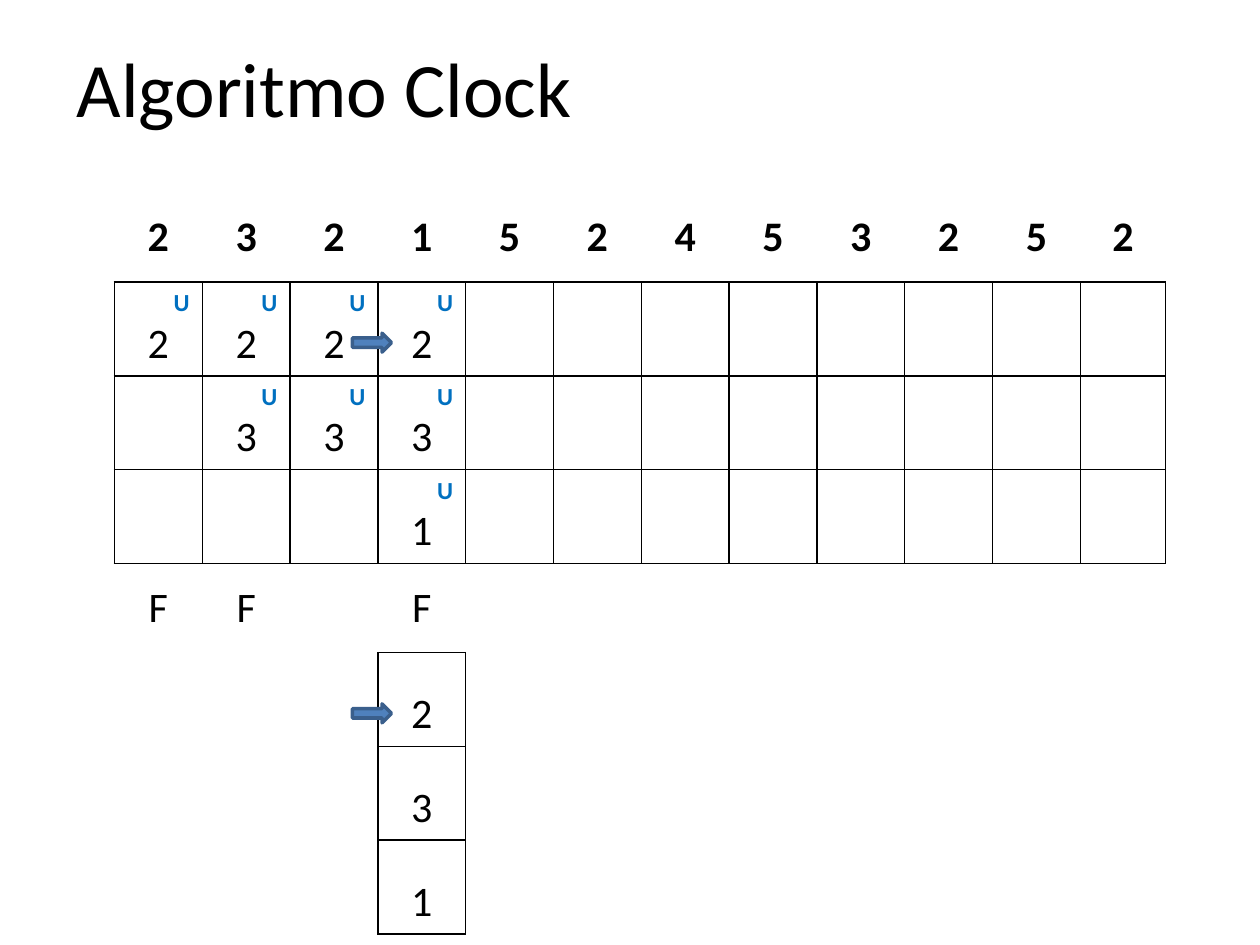
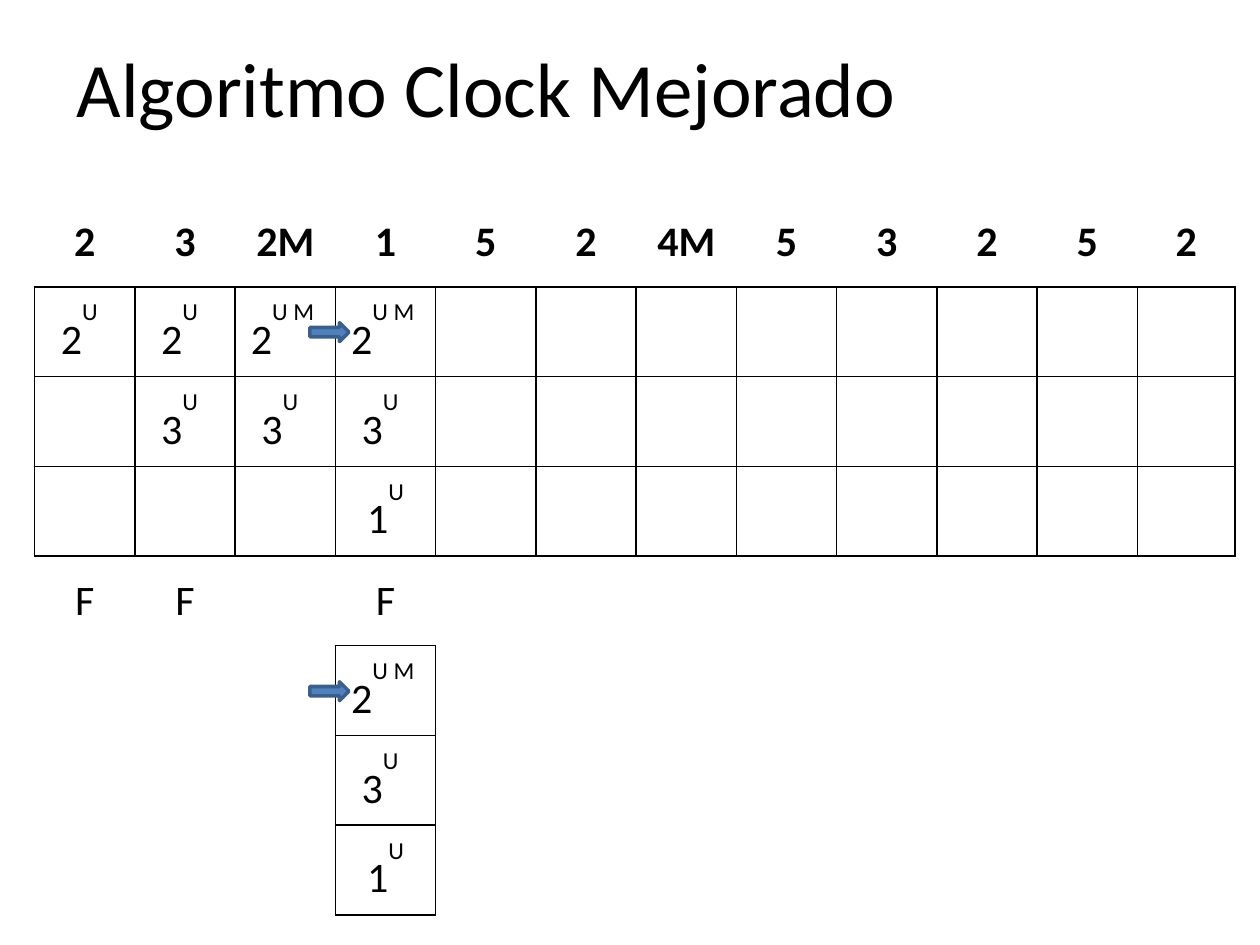
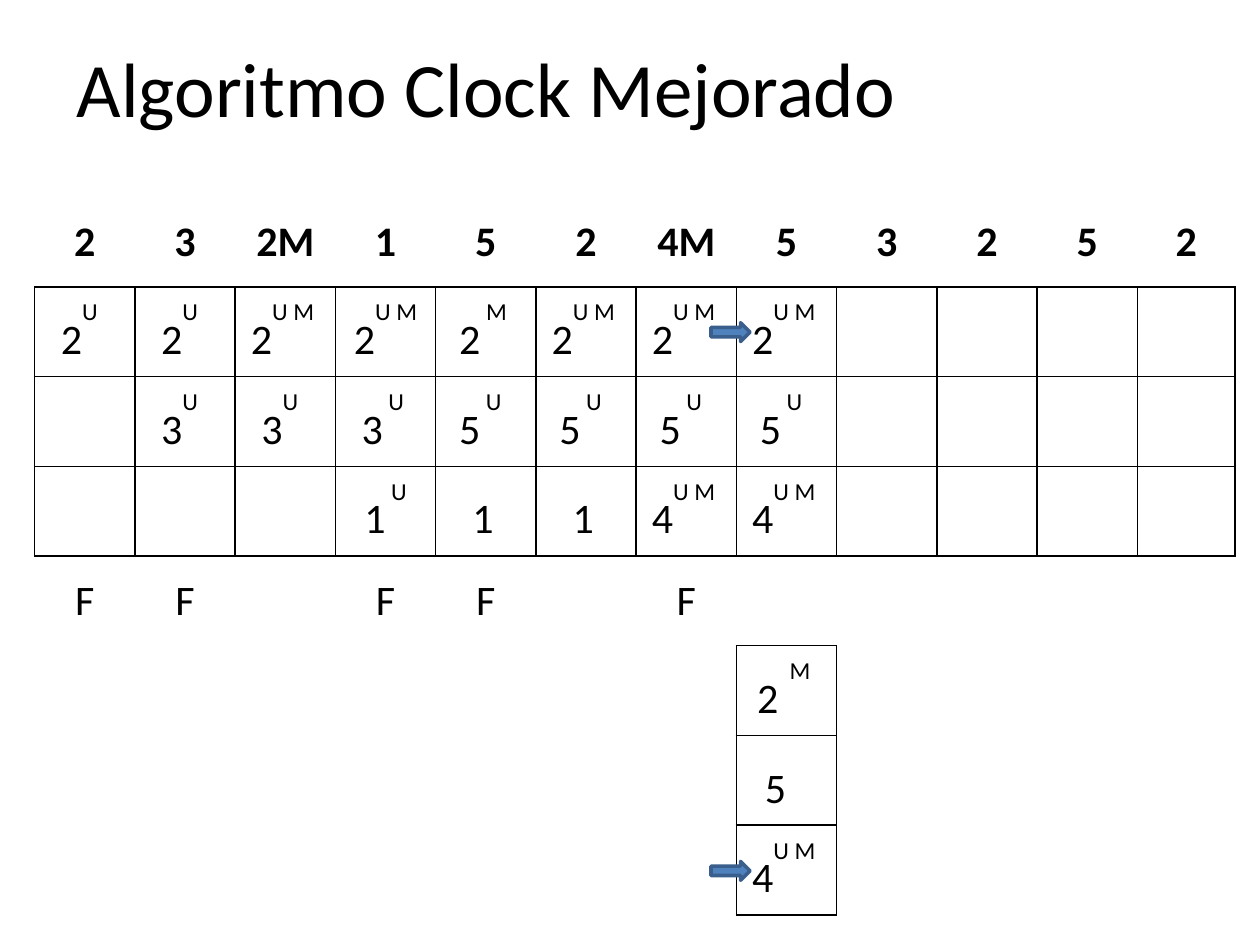
from dataclasses import dataclass
from typing import NamedTuple

from lxml import etree
from pptx import Presentation
from pptx.dml.color import RGBColor
from pptx.enum import shapes, text
from pptx.oxml import ns
from pptx.util import Pt

# Shared look
HUES = {"ink": "000000", "flag": "0070C0", "arrow": "4F81BD", "edge": "3A5F8C"}
FACE = "Calibri"
SPACE = 3.2  # width of one raised space
PAD = 3.6  # top margin of a cell
SIDE = 7.2  # side margin of a cell
FIRST = (0, 1, 3)  # column where each frame is first filled
TITLE = dict(size=Pt(44), bold=False)
HEAD = dict(size=Pt(24), bold=True)
BODY = dict(size=Pt(24), bold=False)
FLAG = dict(size=Pt(14), bold=True)
MID = text.PP_ALIGN.CENTER
EDGES = {"lnL": (0, -1), "lnR": (0, 1), "lnT": (-1, 0), "lnB": (1, 0)}


class Mark(NamedTuple):
    """A page in a frame; gap and tail count raised spaces."""
    page: str
    flag: str = ""
    gap: int = 0
    tail: int = 0


def used(page: str, gap: int = 0) -> Mark:
    return Mark(page, "U", gap, 2)


def both(page: str) -> Mark:
    return Mark(page, "U M", 0, 1)


@dataclass
class Grid:
    left: float
    top: float
    col: float
    last: float
    row: float
    tall: float  # height of a frame row
    lift: float  # extra top margin where no flag is set
    drop: float  # arrow offset from its row
    stack: bool  # flag on its own line


@dataclass
class Sheet:
    title: str
    grid: Grid
    refs: list[str]
    frames: list[list[Mark]]
    fails: list[int]
    now: int  # column of the current state
    state: list[Mark]
    hand: int  # frame the lower arrow points at


PLAIN = Grid(110.2, 0, 50.2, 48.8, 51, 53.6, 17.1, 29.2, True)
PLAIN.left, PLAIN.top = 65.4, 110.2
BETTER = Grid(19.8, 112.6, 57.3, 55.7, 51.3, 51.3, 9.7, 20.5, False)
REFS = "2 3 2M 1 5 2 4M 5 3 2 5 2".split()

SHEETS = [
    Sheet("Algoritmo Clock", PLAIN, "2 3 2 1 5 2 4 5 3 2 5 2".split(),
          [[Mark("2", "U")] * 4, [Mark("3", "U")] * 3, [Mark("1", "U")]],
          [0, 1, 3], 3, [Mark("2"), Mark("3"), Mark("1")], 0),
    Sheet("Algoritmo Clock Mejorado", BETTER, REFS,
          [[used("2")] * 2 + [both("2")] * 2, [used("3")] * 3, [Mark("1", "U")]],
          [0, 1, 3], 3, [both("2"), used("3"), Mark("1", "U")], 0),
    Sheet("Algoritmo Clock Mejorado", BETTER, REFS,
          [[used("2")] * 2 + [both("2"), Mark("2", "U M"), Mark("2", "M", 1, 1)]
           + [both("2")] * 3,
           [used("3")] * 2 + [Mark("3", "U", 1, 1)] + [used("5", 1)] * 4,
           [Mark("1", "U", 1)] + [Mark("1", tail=1)] * 2 + [both("4")] * 2],
          [0, 1, 3, 4, 6], 7,
          [Mark("2", "M", 2, 1), Mark("5", tail=4), both("4")], 2),
]


def tint(name: str) -> RGBColor:
    return RGBColor.from_string(HUES[name])


def add_run(para, words: str, form: dict, hue: str = "ink", **extra: int) -> None:
    run = para.add_run()
    run.text = words
    for key, value in dict(form, name=FACE).items():
        setattr(run.font, key, value)
    run.font.color.rgb = tint(hue)
    for key, value in extra.items():
        run.font._element.set(key, str(value))


def add_word(cell, words: str, form: dict) -> None:
    para = cell.text_frame.paragraphs[0]
    para.alignment = MID
    add_run(para, words, form)


def add_mark(cell, mark: Mark, grid: Grid) -> None:
    frame = cell.text_frame
    para = frame.paragraphs[0]
    cell.margin_right = Pt(SIDE + mark.tail * SPACE)
    if not mark.flag:
        cell.margin_top = Pt(PAD + grid.lift)
    elif grid.stack:
        para.alignment = text.PP_ALIGN.RIGHT
        add_run(para, mark.flag, FLAG, "flag")
        para = frame.add_paragraph()
    para.alignment = MID
    extra = {"spc": round(mark.gap * SPACE * 100)} if mark.gap else {}
    add_run(para, mark.page, BODY, **extra)
    if mark.flag and not grid.stack:
        add_run(para, mark.flag, BODY, baseline=80000)


def add_edge(cell, tag: str, shown: bool) -> None:
    line = etree.SubElement(cell._tc.get_or_add_tcPr(), ns.qn(f"a:{tag}"), w=str(Pt(1)))
    if shown:
        fill = etree.SubElement(line, ns.qn("a:solidFill"))
        etree.SubElement(fill, ns.qn("a:srgbClr"), val=HUES["ink"])
    else:
        etree.SubElement(line, ns.qn("a:noFill"))


def add_title(slide, words: str) -> None:
    box = slide.shapes.add_textbox(Pt(36.7), Pt(20.9), Pt(540), Pt(56.9))
    frame = box.text_frame
    frame.word_wrap = True
    frame.vertical_anchor = text.MSO_ANCHOR.MIDDLE
    add_run(frame.paragraphs[0], words, TITLE)


def add_grid(slide, sheet: Sheet) -> None:
    grid, count = sheet.grid, len(sheet.refs)
    wides = [grid.col] * (count - 1) + [grid.last]
    highs = ([grid.row] + [grid.tall] * 3) * 2
    table = slide.shapes.add_table(
        len(highs), count, Pt(grid.left), Pt(grid.top), Pt(sum(wides)), Pt(sum(highs))).table
    table.first_row = table.horz_banding = False
    for col, wide in zip(table.columns, wides):
        col.width = Pt(wide)
    for row, high in zip(table.rows, highs):
        row.height = Pt(high)

    # Frames and the current state are boxed; an edge shows if either side is boxed
    boxed = {(r, c) for r in range(1, 4) for c in range(count)}
    boxed |= {(r, sheet.now) for r in range(5, 8)}
    for r in range(len(highs)):
        for c in range(count):
            cell = table.cell(r, c)
            cell.vertical_anchor = text.MSO_ANCHOR.MIDDLE
            for tag, (down, over) in EDGES.items():
                add_edge(cell, tag, bool({(r, c), (r + down, c + over)} & boxed))
            cell.fill.background()

    # Words
    for c, ref in enumerate(sheet.refs):
        add_word(table.cell(0, c), ref, HEAD)
    for r, (start, marks) in enumerate(zip(FIRST, sheet.frames), 1):
        for c, mark in enumerate(marks, start):
            add_mark(table.cell(r, c), mark, grid)
    for c in sheet.fails:
        add_word(table.cell(4, c), "F", BODY)
    for r, mark in enumerate(sheet.state, 5):
        add_mark(table.cell(r, sheet.now), mark, grid)

    # Clock hands
    for r in (1, 5 + sheet.hand):
        add_hand(slide, grid.left + sheet.now * grid.col - 14.6,
                 grid.top + sum(highs[:r]) + grid.drop)


def add_hand(slide, left: float, top: float) -> None:
    hand = slide.shapes.add_shape(
        shapes.MSO_SHAPE.RIGHT_ARROW, Pt(left), Pt(top), Pt(22.3), Pt(10.8))
    hand.shadow.inherit = False
    hand.fill.solid()
    hand.fill.fore_color.rgb = tint("arrow")
    hand.line.color.rgb = tint("edge")
    hand.line.width = Pt(2)


def main() -> None:
    deck = Presentation()
    deck.slide_width, deck.slide_height = Pt(720), Pt(540)
    for sheet in SHEETS:
        slide = deck.slides.add_slide(deck.slide_layouts[6])
        add_title(slide, sheet.title)
        add_grid(slide, sheet)
    deck.save("out.pptx")


if __name__ == "__main__":
    main()
